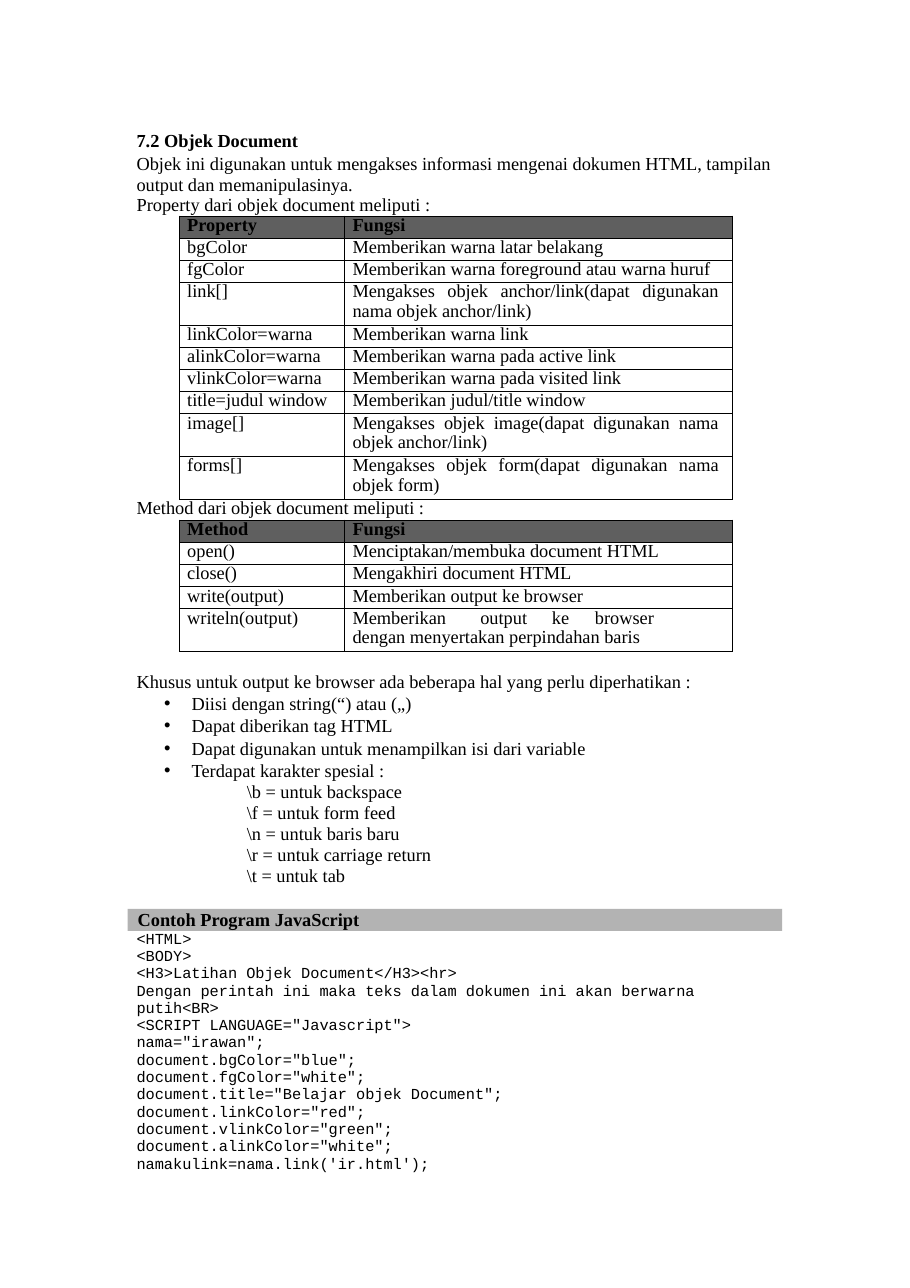
import pptx
import pptx.util
import pptx.dml.color
import pptx.enum.shapes
import pptx.enum.text
import pptx.oxml
import pptx.oxml.ns
from lxml import etree

Inches = pptx.util.Inches
Pt = pptx.util.Pt
ALIGN = pptx.enum.text.PP_ALIGN

SERIF, MONO = "Times New Roman", "Courier New"
BLACK, WHITE, HEADER_GRAY, BANNER_GRAY = "000000", "FFFFFF", "5F5F5F", "B3B3B3"

HEADING = "7.2 Objek Document"
INTRO = [
    "Objek ini digunakan untuk mengakses informasi mengenai dokumen HTML, tampilan output dan memanipulasinya.",
    "Property dari objek document meliputi :",
]
PROPERTIES = [
    ("Property", "Fungsi"),
    ("bgColor", "Memberikan warna latar belakang"),
    ("fgColor", "Memberikan warna foreground atau warna huruf"),
    ("link[]", "Mengakses objek anchor/link(dapat digunakan nama objek anchor/link)"),
    ("linkColor=warna", "Memberikan warna link"),
    ("alinkColor=warna", "Memberikan warna pada active link"),
    ("vlinkColor=warna", "Memberikan warna pada visited link"),
    ("title=judul window", "Memberikan judul/title window"),
    ("image[]", "Mengakses objek image(dapat digunakan nama objek anchor/link)"),
    ("forms[]", "Mengakses objek form(dapat digunakan nama objek form)"),
]
METHOD_LABEL = "Method dari objek document meliputi :"
METHODS = [
    ("Method", "Fungsi"),
    ("open()", "Menciptakan/membuka document HTML"),
    ("close()", "Mengakhiri document HTML"),
    ("write(output)", "Memberikan output ke browser"),
    ("writeln(output)", "Memberikan\toutput\tke\tbrowser\vdengan menyertakan perpindahan baris"),
]
TAB_STOPS = [1.16, 1.81, 2.2]
OUTPUT_LABEL = "Khusus untuk output ke browser ada beberapa hal yang perlu diperhatikan :"
OUTPUT_RULES = [
    "Diisi dengan string(“) atau („)",
    "Dapat diberikan tag HTML",
    "Dapat digunakan untuk menampilkan isi dari variable",
    "Terdapat karakter spesial :",
]
SPECIAL_CHARACTERS = [
    "\\b = untuk backspace",
    "\\f = untuk form feed",
    "\\n = untuk baris baru",
    "\\r = untuk carriage return",
    "\\t = untuk tab",
]
BANNER = "Contoh Program JavaScript"
CODE = [
    "<HTML>",
    "<BODY>",
    "<H3>Latihan Objek Document</H3><hr>",
    "Dengan perintah ini maka teks dalam dokumen ini akan berwarna putih<BR>",
    '<SCRIPT LANGUAGE="Javascript">',
    'nama="irawan";',
    'document.bgColor="blue";',
    'document.fgColor="white";',
    'document.title="Belajar objek Document";',
    'document.linkColor="red";',
    'document.vlinkColor="green";',
    'document.alinkColor="white";',
    "namakulink=nama.link('ir.html');",
]

TEXT_LEFT = 1.23
TABLE_LEFT, COLUMN_WIDTHS = 1.63, (1.5, 3.52)
ROW_HEIGHT, TALL_ROW_HEIGHT, LONG_TEXT = 0.2, 0.39, 50


def color(hex_value):
    return pptx.dml.color.RGBColor.from_string(hex_value)


def fill_solid(target, hex_value):
    target.fill.solid()
    target.fill.fore_color.rgb = color(hex_value)


def add_element(parent, tag, **attributes):
    element = etree.SubElement(parent, pptx.oxml.ns.qn(tag))
    for name, value in attributes.items():
        element.set(name, str(value))
    return element


def format_paragraph(paragraph, spacing, size=12, font=SERIF, bold=False, align=ALIGN.LEFT):
    paragraph.alignment = align
    paragraph.line_spacing = Pt(spacing)
    paragraph.space_before = paragraph.space_after = Pt(0)
    for run in paragraph.runs:
        run.font.name = font
        run.font.size = Pt(size)
        run.font.bold = bold
        run.font.color.rgb = color(BLACK)


def write_lines(shape, lines, spacing, left_inset=0.01, **style):
    frame = shape.text_frame
    frame.word_wrap = True
    frame.auto_size = pptx.enum.text.MSO_AUTO_SIZE.NONE
    frame.vertical_anchor = pptx.enum.text.MSO_ANCHOR.TOP
    frame.margin_left = Inches(left_inset)
    frame.margin_top = frame.margin_right = frame.margin_bottom = 0
    frame.text = "\n".join(lines)
    for paragraph in frame.paragraphs:
        format_paragraph(paragraph, spacing, **style)


def place(shape, left, top, width, height):
    shape.left, shape.top = Inches(left), Inches(top)
    shape.width, shape.height = Inches(width), Inches(height)


def add_text(slide, top, width, height, lines, spacing, **style):
    box = slide.shapes.add_textbox(Inches(TEXT_LEFT), Inches(top), Inches(width), Inches(height))
    write_lines(box, lines, spacing, **style)


def add_borders(cell):
    properties = cell._tc.get_or_add_tcPr()
    for index, side in enumerate(("a:lnL", "a:lnR", "a:lnT", "a:lnB")):
        line = etree.Element(pptx.oxml.ns.qn(side), w=str(Pt(0.5)))
        add_element(add_element(line, "a:solidFill"), "a:srgbClr", val=BLACK)
        properties.insert(index, line)


def add_reference_table(slide, top, rows):
    heights = [TALL_ROW_HEIGHT if len(text) > LONG_TEXT else ROW_HEIGHT for _, text in rows]
    table = slide.shapes.add_table(
        len(rows), 2, Inches(TABLE_LEFT), Inches(top), Inches(sum(COLUMN_WIDTHS)), Inches(sum(heights))
    ).table
    table.first_row = table.horz_banding = False
    for column, width in zip(table.columns, COLUMN_WIDTHS):
        column.width = Inches(width)
    for row_index, (texts, height) in enumerate(zip(rows, heights)):
        table.rows[row_index].height = Inches(height)
        for column_index, text in enumerate(texts):
            cell = table.cell(row_index, column_index)
            cell.margin_left = Inches(0.07)
            cell.margin_right = Inches(0.12 if column_index else 0)
            cell.margin_top = cell.margin_bottom = 0
            fill_solid(cell, WHITE if row_index else HEADER_GRAY)
            add_borders(cell)
            paragraph = cell.text_frame.paragraphs[0]
            paragraph.text = text
            if "\t" in text:
                stops = add_element(paragraph._p.get_or_add_pPr(), "a:tabLst")
                for stop in TAB_STOPS:
                    add_element(stops, "a:tab", pos=Inches(stop), algn="l")
            justified = len(text) > LONG_TEXT and "\t" not in text
            format_paragraph(paragraph, 13, bold=row_index == 0,
                             align=ALIGN.JUSTIFY if justified else ALIGN.LEFT)


def write_output_notes(body):
    write_lines(body, [OUTPUT_LABEL] + OUTPUT_RULES + SPECIAL_CHARACTERS, 13.8)
    for paragraph in body.text_frame.paragraphs:
        properties = paragraph._p.get_or_add_pPr()
        is_rule = paragraph.text in OUTPUT_RULES
        margin = 0.5 if is_rule else 1 if paragraph.text in SPECIAL_CHARACTERS else 0
        properties.set("marL", str(Inches(margin)))
        properties.set("indent", str(Inches(-0.25 if is_rule else 0)))
        if is_rule:
            paragraph.line_spacing = Pt(14.5)
            add_element(properties, "a:buChar", char="•")
        else:
            add_element(properties, "a:buNone")


def main():
    presentation = pptx.Presentation()
    presentation.slide_width, presentation.slide_height = Inches(8.26), Inches(11.69)
    slide = presentation.slides.add_slide(presentation.slide_layouts[1])
    title, body = slide.placeholders

    place(title, TEXT_LEFT, 1.18, 5.85, 0.2)
    write_lines(title, [HEADING], 14, bold=True)
    add_text(slide, 1.39, 5.85, 0.57, INTRO, 13.6)
    add_reference_table(slide, 1.96, PROPERTIES)
    add_text(slide, 4.51, 5.07, 0.2, [METHOD_LABEL], 13.8)
    add_reference_table(slide, 4.72, METHODS)

    place(body, TEXT_LEFT, 6.09, 5.85, 2)
    write_output_notes(body)

    banner = slide.shapes.add_shape(
        pptx.enum.shapes.MSO_SHAPE.RECTANGLE, Inches(1.16), Inches(8.25), Inches(5.94), Inches(0.2)
    )
    banner.shadow.inherit = False
    fill_solid(banner, BANNER_GRAY)
    banner.line.fill.background()
    write_lines(banner, [BANNER], 14, left_inset=0.09, bold=True)
    add_text(slide, 8.44, 5.3, 2.24, CODE, 11.3, size=10, font=MONO)

    presentation.save("out.pptx")


if __name__ == "__main__":
    main()
